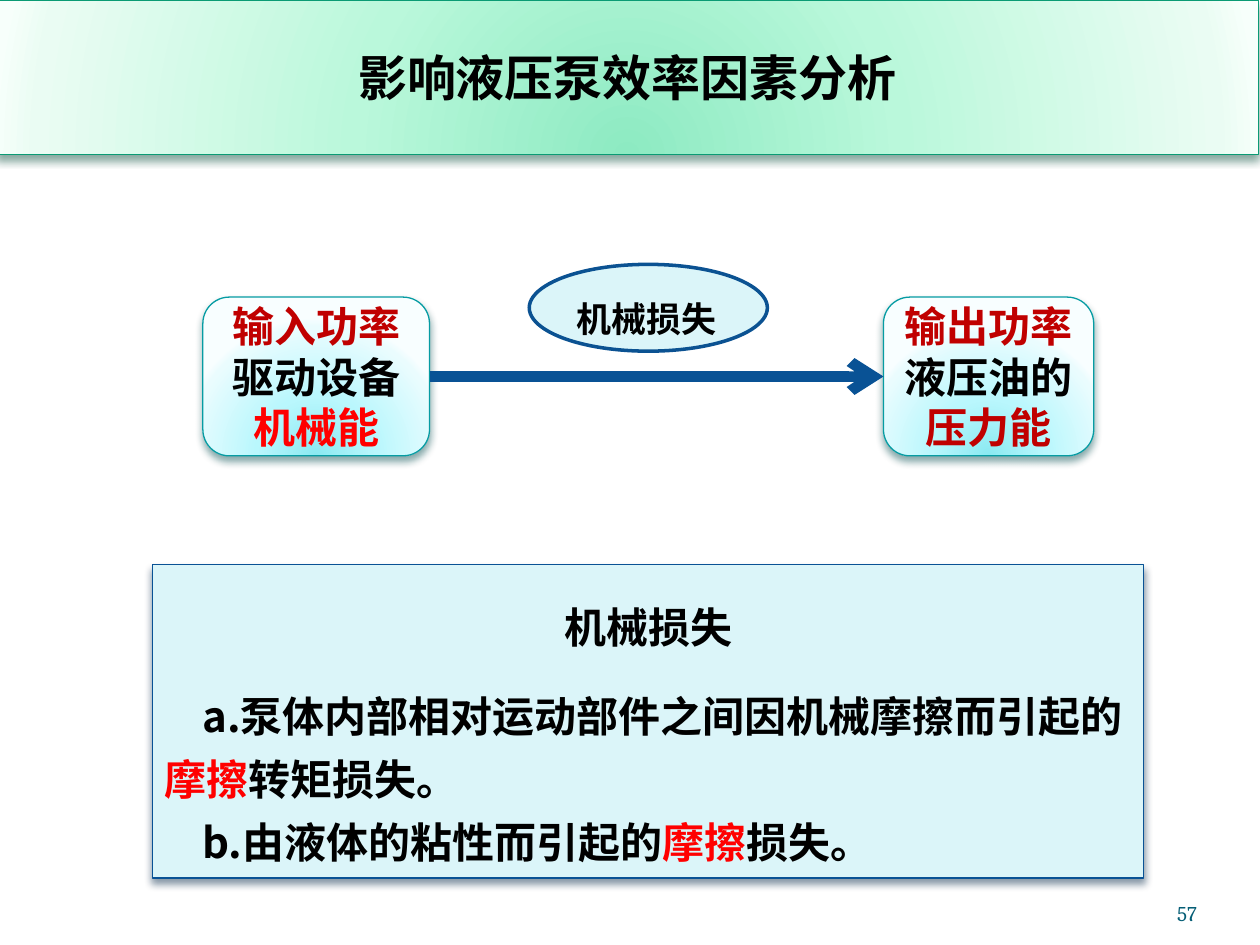
from lxml.etree import SubElement
from pptx import Presentation
from pptx.dml.color import RGBColor
from pptx.enum.shapes import MSO_CONNECTOR, MSO_SHAPE
from pptx.enum.text import MSO_ANCHOR, PP_ALIGN
from pptx.oxml.ns import qn
from pptx.util import Cm, Pt

BLACK = RGBColor(0x00, 0x00, 0x00)
RED = RGBColor(0xFF, 0x00, 0x00)
DARK_RED = RGBColor(0xC0, 0x00, 0x00)
BLUE = RGBColor(0x09, 0x52, 0x95)
ELLIPSE_BLUE = RGBColor(0x0B, 0x52, 0x92)
PALE_BLUE = RGBColor(0xDB, 0xF5, 0xF9)
TEAL = RGBColor(0x06, 0x9C, 0xA3)
GREEN = RGBColor(0x0A, 0x9B, 0x74)
NUMBER_BLUE = RGBColor(0x04, 0x5D, 0x75)
TEAL_SHADOW = RGBColor(0x02, 0x4B, 0x4E)
GREEN_SHADOW = RGBColor(0x04, 0x4A, 0x37)
BLUE_SHADOW = RGBColor(0x04, 0x27, 0x47)

GLOW_POSITIONS = (0, 43, 93, 100)
TEAL_GLOW = [RGBColor.from_string(c) for c in ("8BE9F1", "B9F7FD", "EAFCFE", "F8FEFF")]
GREEN_GLOW = [RGBColor.from_string(c) for c in ("8DEAC2", "BAF8DB", "EAFCF3", "F7FFFB")]


def add_colour(parent, colour):
    return SubElement(parent, qn("a:srgbClr"), val=str(colour))


class SlideBuilder:
    text_font = "Noto Sans CJK SC"
    number_font = "Cambria"

    def __init__(self, slide):
        self.slide = slide

    def glow(self, shape, colours):
        """Fill a shape with a round gradient centred below its bottom edge."""
        shape.fill.gradient()
        gradient = shape._element.spPr.find(qn("a:gradFill"))
        for child in list(gradient):
            gradient.remove(child)
        stops = SubElement(gradient, qn("a:gsLst"))
        for position, colour in zip(GLOW_POSITIONS, colours):
            add_colour(SubElement(stops, qn("a:gs"), pos=str(position * 1000)), colour)
        circle = SubElement(gradient, qn("a:path"), path="circle")
        SubElement(circle, qn("a:fillToRect"), l="50000", t="130000", r="50000", b="-30000")

    def cast_shadow(self, shape, colour):
        effects = shape._element.spPr.find(qn("a:effectLst"))
        outer = SubElement(effects, qn("a:outerShdw"), blurRad=str(Pt(4.5)),
                           dist=str(Pt(3)), dir="5400000", rotWithShape="0")
        SubElement(add_colour(outer, colour), qn("a:alpha"), val="48000")

    def format_run(self, run, size, colour, font=text_font, bold=True):
        run.font.size = Pt(size)
        run.font.bold = bold
        run.font.color.rgb = colour
        run.font.name = font
        SubElement(run._r.get_or_add_rPr(), qn("a:ea"), typeface=font)

    def fill_text(self, frame, paragraphs, size, spacing=None, align=PP_ALIGN.CENTER):
        """Set paragraphs, each a list of (words, colour) pieces."""
        for index, pieces in enumerate(paragraphs):
            paragraph = frame.paragraphs[0] if index == 0 else frame.add_paragraph()
            paragraph.alignment = align
            paragraph.line_spacing = spacing
            for words, colour in pieces:
                run = paragraph.add_run()
                run.text = words
                self.format_run(run, size, colour)

    def box(self, kind, left, top, width, height, fill, line, line_width=0.75,
            shadow=None, wrap=True):
        """Add a shape; a list as fill gives a round gradient."""
        shape = self.slide.shapes.add_shape(kind, Cm(left), Cm(top), Cm(width), Cm(height))
        shape.shadow.inherit = False
        if isinstance(fill, list):
            self.glow(shape, fill)
        else:
            shape.fill.solid()
            shape.fill.fore_color.rgb = fill
        shape.line.color.rgb = line
        shape.line.width = Pt(line_width)
        if shadow is not None:
            self.cast_shadow(shape, shadow)
        shape.text_frame.word_wrap = wrap
        shape.text_frame.vertical_anchor = MSO_ANCHOR.MIDDLE
        return shape

    def power_box(self, left, width, paragraphs):
        power = self.box(MSO_SHAPE.ROUNDED_RECTANGLE, left, 5.99, width, 3.2,
                         TEAL_GLOW, TEAL, shadow=TEAL_SHADOW, wrap=False)
        self.fill_text(power.text_frame, paragraphs, 24)
        return power

    def arrow(self, source, target):
        """Join the right side of source to the left side of target."""
        arrow = self.slide.shapes.add_connector(MSO_CONNECTOR.STRAIGHT, 0, 0, 0, 0)
        arrow.begin_connect(source, 3)
        arrow.end_connect(target, 1)
        arrow.line.color.rgb = BLUE
        arrow.line.width = Pt(6)
        SubElement(arrow._element.spPr.find(qn("a:ln")), qn("a:tailEnd"), type="arrow")
        SubElement(arrow._element.spPr, qn("a:effectLst"))

    def page_number(self, number):
        box = self.slide.shapes.add_textbox(Cm(22.02), Cm(17.65), Cm(2.11), Cm(1.02))
        frame = box.text_frame
        frame.word_wrap = True
        frame.vertical_anchor = MSO_ANCHOR.BOTTOM
        frame.margin_left = frame.margin_right = frame.margin_top = frame.margin_bottom = 0
        frame.text = number
        frame.paragraphs[0].alignment = PP_ALIGN.RIGHT
        self.format_run(frame.paragraphs[0].runs[0], 12, NUMBER_BLUE, self.number_font, False)


def main():
    presentation = Presentation()
    presentation.slide_width, presentation.slide_height = Cm(25.4), Cm(19.05)
    builder = SlideBuilder(presentation.slides.add_slide(presentation.slide_layouts[6]))

    input_power = builder.power_box(4.09, 4.57, [
        [("输入功率", DARK_RED)], [("驱动设备", BLACK)], [("机械能", RED)]])
    output_power = builder.power_box(17.81, 4.24, [
        [("输出功率", DARK_RED)], [("液压油的", BLACK)], [("压力能", DARK_RED)]])
    builder.arrow(input_power, output_power)

    explanation = builder.box(MSO_SHAPE.RECTANGLE, 3.07, 11.38, 19.99, 6.32,
                              PALE_BLUE, BLUE, shadow=BLUE_SHADOW).text_frame
    builder.fill_text(explanation, [
        [("机械损失", BLACK)],
        [("a.泵体内部相对运动部件之间因机械摩擦而引起的", BLACK), ("摩擦", RED),
         ("转矩损失。", BLACK)],
        [("b.由液体的粘性而引起的", BLACK), ("摩擦", RED), ("损失。", BLACK)],
    ], 24, 1.25, PP_ALIGN.LEFT)
    heading, *causes = explanation.paragraphs
    heading.alignment = PP_ALIGN.CENTER
    heading.line_spacing = 1.5
    heading.space_after = Pt(15)
    for cause in causes:
        cause._p.get_or_add_pPr().set("indent", str(Cm(0.76)))

    builder.page_number("57")

    title = builder.box(MSO_SHAPE.RECTANGLE, -0.08, 0, 25.45, 3.12,
                        GREEN_GLOW, GREEN, shadow=GREEN_SHADOW)
    builder.fill_text(title.text_frame, [[("影响液压泵效率因素分析", BLACK)]], 28)

    loss = builder.box(MSO_SHAPE.OVAL, 10.67, 5.33, 4.8, 1.75, PALE_BLUE, ELLIPSE_BLUE, 2)
    builder.fill_text(loss.text_frame, [[("机械损失", BLACK)]], 20, 1.5, PP_ALIGN.LEFT)

    presentation.save("out.pptx")


if __name__ == "__main__":
    main()
